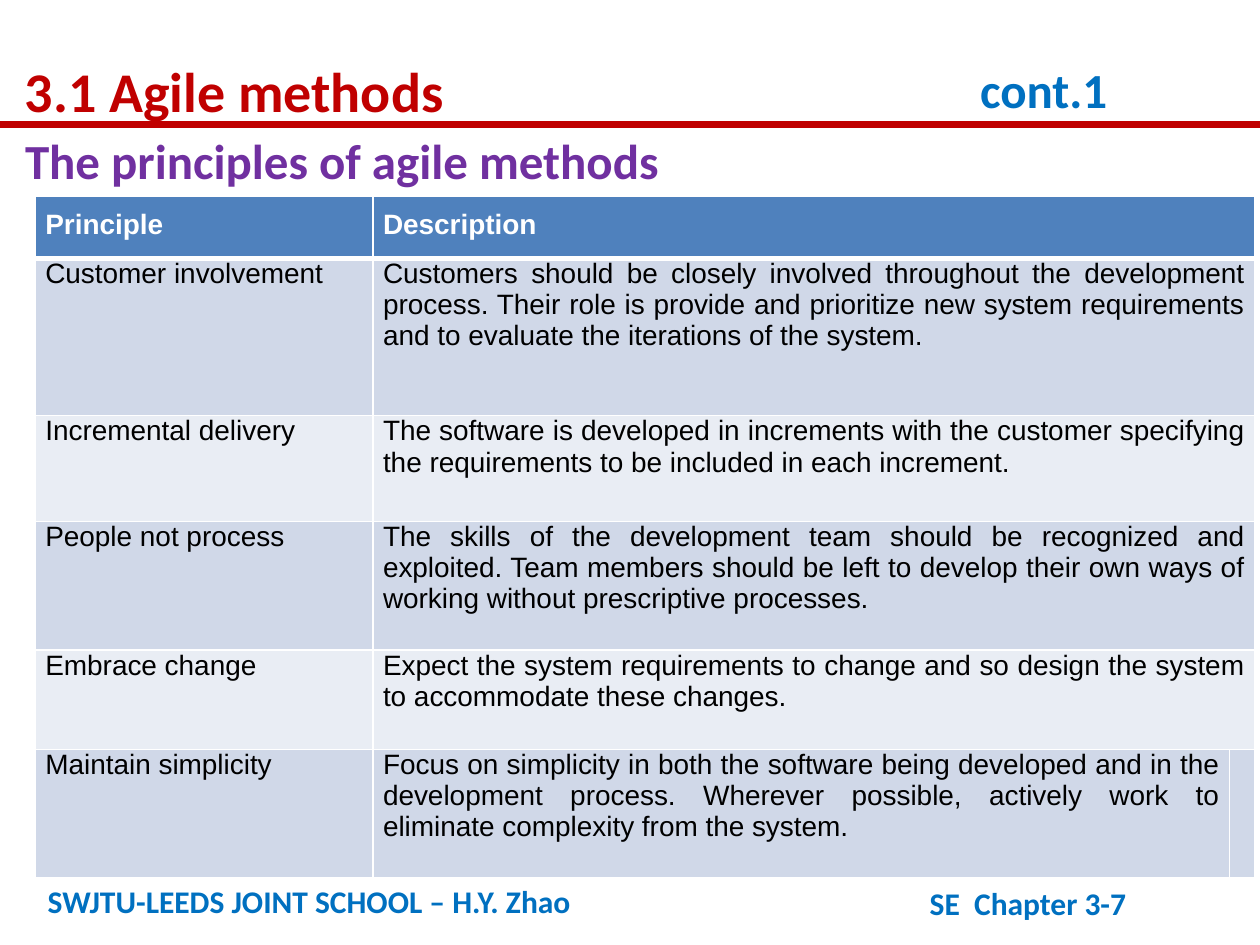
"""Build the slide on the principles of agile methods."""
from lxml.etree import SubElement
from pptx import Presentation
from pptx.dml.color import RGBColor as RGB
from pptx.enum.shapes import MSO_CONNECTOR as CONN
from pptx.enum.text import PP_ALIGN as ALIGN
from pptx.oxml.ns import qn
from pptx.util import Inches, Pt

COLORS = {"red": "C00000", "blue": "0070C0", "purple": "7030A0", "white": "FFFFFF",
          "black": "000000", "head": "4F81BD", "odd": "D0D8E8", "even": "E9EDF4"}

TEXTS = [
    ("SWJTU-LEEDS JOINT SCHOOL – H.Y. Zhao", (0.28, 6.95, 6.31, 0.4), 18, "blue", 1.0),
    ("SE  Chapter 3-7", (7.28, 6.97, 2.61, 0.4), 18, "blue", 1.0),
    ("3.1 Agile methods", (0.1, 0.29, 8.76, 0.7), 32, "red", 1.2),
    ("cont.1", (7.68, 0.42, 2.05, 0.57), 28, "blue", 1.0),
    ("The principles of agile methods", (0.1, 0.99, 9.79, 0.57), 28, "purple", 1.0),
]

PRINCIPLES = [
    ("Principle", "Description"),
    ("Customer involvement",
     "Customers should be closely involved throughout the development process. Their role is "
     "provide and prioritize new system requirements and to evaluate the iterations of the system."),
    ("Incremental delivery",
     "The software is developed in increments with the customer specifying the requirements "
     "to be included in each increment."),
    ("People not process",
     "The skills of the development team should be recognized and exploited. Team members "
     "should be left to develop their own ways of working without prescriptive processes."),
    ("Embrace change",
     "Expect the system requirements to change and so design the system to accommodate "
     "these changes."),
    ("Maintain simplicity",
     "Focus on simplicity in both the software being developed and in the development process. "
     "Wherever possible, actively work to eliminate complexity from the system."),
]
COL_WIDTHS = [2.68, 6.8, 0.15]
ROW_HEIGHTS = [0.49, 1.25, 0.84, 1.02, 0.79, 1.02]


def color(name):
    return RGB.from_string(COLORS[name])


def write(p, text, size, font, fill, bold):
    r = p.add_run()
    r.text = text
    for key, value in {"size": Pt(size), "name": font, "bold": bold}.items():
        setattr(r.font, key, value)
    r.font.color.rgb = color(fill)


def add_text(slide, text, box, size, fill, spacing):
    tf = slide.shapes.add_textbox(*map(Inches, box)).text_frame
    tf.word_wrap = True
    p = tf.paragraphs[0]
    p.line_spacing = spacing
    write(p, text, size, "Calibri", fill, True)


def add_rule(slide):
    line = slide.shapes.add_connector(CONN.STRAIGHT, 0, Inches(0.99), Inches(10), Inches(0.99))
    line.line.color.rgb = color("red")
    line.line.width = Pt(4)
    SubElement(line._element.spPr, qn("a:effectLst"))


def set_borders(cell, widths):
    tcPr = cell._tc.get_or_add_tcPr()
    for side, width in widths.items():
        ln = SubElement(tcPr, qn(f"a:ln{side}"), w=str(Pt(width)))
        SubElement(SubElement(ln, qn("a:solidFill")), qn("a:srgbClr"), val=COLORS["white"])


def style_cell(cell, row):
    set_borders(cell, {"L": 1, "R": 1, "T": 3 if row == 1 else 1, "B": 3 if row == 0 else 1})
    cell.fill.solid()
    cell.fill.fore_color.rgb = color("head" if row == 0 else "odd" if row % 2 else "even")
    margins = {"left": 0.08, "top": 0 if row else 0.1, "right": 0.08, "bottom": 0.1}
    for side, value in margins.items():
        setattr(cell, f"margin_{side}", Inches(value))


def add_principles(slide):
    table = slide.shapes.add_table(
        len(PRINCIPLES), len(COL_WIDTHS), Inches(0.28), Inches(1.56),
        Inches(sum(COL_WIDTHS)), Inches(sum(ROW_HEIGHTS))).table
    for col, width in zip(table.columns, COL_WIDTHS):
        col.width = Inches(width)
    for i, (texts, height) in enumerate(zip(PRINCIPLES, ROW_HEIGHTS)):
        table.rows[i].height = Inches(height)
        for j in range(len(COL_WIDTHS)):
            style_cell(table.cell(i, j), i)
        for j, text in enumerate(texts):
            p = table.cell(i, j).text_frame.paragraphs[0]
            p.alignment = ALIGN.JUSTIFY
            write(p, text, 16, "Arial", "black" if i else "white", i == 0)
        if i < len(PRINCIPLES) - 1:
            table.cell(i, 1).merge(table.cell(i, 2))


def main():
    prs = Presentation()
    prs.slide_width, prs.slide_height = Inches(10), Inches(7.5)
    slide = prs.slides.add_slide(prs.slide_layouts[6])
    add_rule(slide)
    for item in TEXTS:
        add_text(slide, *item)
    add_principles(slide)
    prs.save("out.pptx")


if __name__ == "__main__":
    main()
